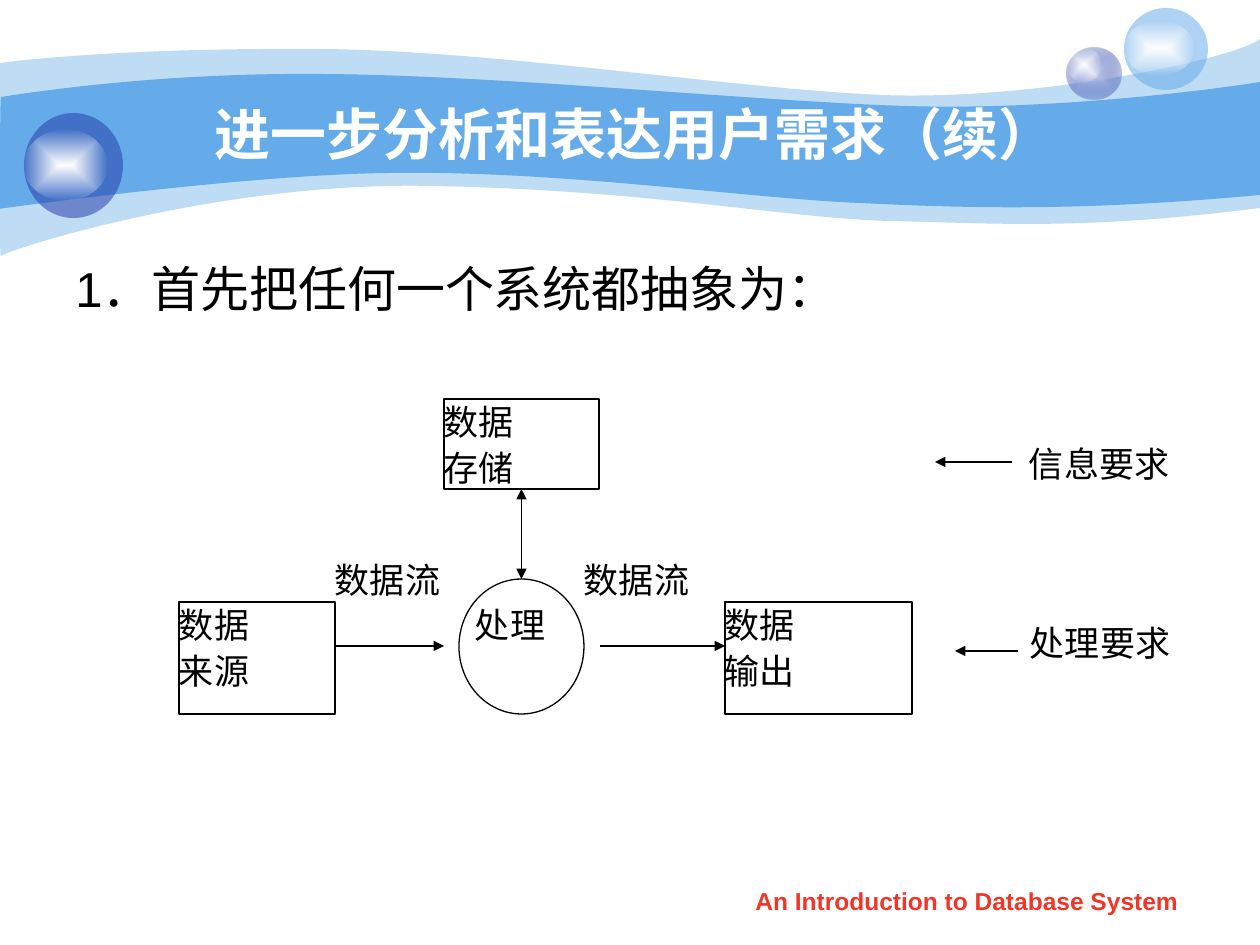
from lxml import etree
from pptx import Presentation
from pptx.dml.color import RGBColor
from pptx.enum.shapes import MSO_CONNECTOR as Connector, MSO_SHAPE as Shape
from pptx.enum.text import MSO_ANCHOR as Anchor, PP_ALIGN as Align
from pptx.oxml import parse_xml
from pptx.oxml.ns import nsdecls, qn
from pptx.util import Emu, Pt

EMU_PER_PX = 914400 / 126
BLACK, WHITE, SKY, NAVY, RED = "000000", "FFFFFF", "65AAE9", "233DA9", "F03628"

BACK_WAVE = [
    [(0, 63)],
    [(30, 59), (135, 48), (311, 49)],
    [(486, 49), (725, 88), (881, 95)],
    [(1036, 101), (1235, 59), (1260, 39)],
    [(1260, 208)],
    [(1079, 231), (992, 223), (888, 221)],
    [(784, 218), (649, 190), (432, 186)],
    [(217, 181), (5, 251), (1, 256)],
    [(-1, 262), (0, 95), (0, 63)],
]
FRONT_WAVE = [
    [(1, 97)],
    [(3, 97), (139, 73), (312, 74)],
    [(486, 74), (750, 101), (905, 106)],
    [(1060, 111), (1230, 87), (1260, 82)],
    [(1260, 195)],
    [(1075, 212), (964, 208), (859, 203)],
    [(755, 199), (563, 171), (399, 173)],
    [(256, 173), (-3, 209), (-1, 209)],
    [(0, 209), (0, 97), (1, 97)],
]


def px(value):
    return Emu(round(value * EMU_PER_PX))


def color(hex_code):
    return RGBColor.from_string(hex_code)


def place(box, left, top, width, height):
    return [px(v) for v in (box[0] + left, box[1] + top, width, height)]


def set_fill(shape, hex_code, alpha=100):
    shape.fill.solid()
    shape.fill.fore_color.rgb = color(hex_code)
    if alpha < 100:
        element = shape.fill._xPr.find(".//" + qn("a:srgbClr"))
        etree.SubElement(element, qn("a:alpha")).set("val", str(alpha * 1000))
    shape.line.fill.background()
    shape.shadow.inherit = False


def set_glow(shape, center, edge, edge_alpha):
    set_fill(shape, center)
    solid = shape.fill._xPr.find(qn("a:solidFill"))
    gradient = parse_xml(
        f'<a:gradFill rotWithShape="1" {nsdecls("a")}><a:gsLst>'
        f'<a:gs pos="0"><a:srgbClr val="{center}"/></a:gs>'
        f'<a:gs pos="100000"><a:srgbClr val="{edge}">'
        f'<a:alpha val="{edge_alpha * 1000}"/></a:srgbClr></a:gs></a:gsLst>'
        '<a:path path="rect"><a:fillToRect l="50000" t="50000" r="50000" b="50000"/>'
        "</a:path></a:gradFill>"
    )
    solid.getparent().replace(solid, gradient)


def add_wave(slide, box, segments, alpha):
    points = [(px(box[0] + x), px(box[1] + y)) for segment in segments for x, y in segment]
    builder = slide.shapes.build_freeform(*points[0])
    builder.add_line_segments(points[1:], close=True)
    wave = builder.convert_to_shape()
    lines = iter(wave._element.findall(".//" + qn("a:lnTo")))
    for segment in segments[1:]:
        steps = [next(lines) for _ in segment]
        if len(steps) == 3:
            curve = etree.Element(qn("a:cubicBezTo"))
            steps[0].addprevious(curve)
            for step in steps:
                curve.append(step[0])
                step.getparent().remove(step)
    set_fill(wave, SKY, alpha)


def add_ellipse(slide, box, *frame):
    return slide.shapes.add_shape(Shape.OVAL, *place(box, *frame))


def draw_header(slide, box):
    add_wave(slide, box, BACK_WAVE, 41)
    add_wave(slide, box, FRONT_WAVE, 100)
    set_glow(add_ellipse(slide, box, 1067, 48, 54, 51), "C7CEE9", NAVY, 31)
    set_glow(add_ellipse(slide, box, 1067, 48, 35, 34), WHITE, WHITE, 0)
    set_fill(add_ellipse(slide, box, 1124, 8, 84, 82), SKY, 53)
    set_glow(add_ellipse(slide, box, 1124, 21, 70, 54), WHITE, WHITE, 0)
    set_fill(add_ellipse(slide, box, 24, 113, 99, 105), NAVY, 53)
    set_glow(add_ellipse(slide, box, 24, 130, 83, 70), WHITE, WHITE, 0)


def format_paragraph(paragraph, size, hex_code, align, bold=False):
    paragraph.alignment = align
    paragraph.font.name = "Arial"
    paragraph.font.size = Pt(size)
    paragraph.font.bold = bold
    paragraph.font.color.rgb = color(hex_code)


def draw_title(slide, box):
    title = slide.shapes.title
    title.left, title.top, title.width, title.height = place(box, 0, 0, *box[2:])
    title.text_frame.text = "进一步分析和表达用户需求（续）"
    title.text_frame.vertical_anchor = Anchor.MIDDLE
    format_paragraph(title.text_frame.paragraphs[0], 32, WHITE, Align.CENTER, True)


def add_text_box(slide, box, text):
    text_box = slide.shapes.add_textbox(*place(box, 0, 0, *box[2:]))
    text_box.text_frame.word_wrap = True
    text_box.text_frame.text = text
    return text_box.text_frame.paragraphs[0]


def draw_body(slide, box):
    paragraph = add_text_box(slide, box, "1．首先把任何一个系统都抽象为：")
    format_paragraph(paragraph, 28, BLACK, Align.LEFT)
    paragraph.space_before = Pt(7)
    properties = paragraph._p.get_or_add_pPr()
    properties.set("marL", str(px(48)))
    properties.set("indent", str(px(-48)))


def draw_footer(slide, box):
    paragraph = add_text_box(slide, box, "An Introduction to Database System")
    format_paragraph(paragraph, 14, RED, Align.CENTER, True)


def set_diagram_text(shape, text):
    frame = shape.text_frame
    frame.word_wrap = True
    frame.vertical_anchor = Anchor.TOP
    frame.margin_left = frame.margin_right = 0
    frame.margin_top = frame.margin_bottom = px(6)
    frame.text = text
    for paragraph in frame.paragraphs:
        format_paragraph(paragraph, 20, BLACK, Align.JUSTIFY)
        paragraph.line_spacing = 0.9
        paragraph.space_before = Pt(5)


def set_outline(shape):
    shape.fill.background()
    shape.line.color.rgb = color(BLACK)
    shape.line.width = Pt(0.75)
    shape.shadow.inherit = False


def add_node(slide, box, text, *frame):
    node = slide.shapes.add_shape(Shape.RECTANGLE, *place(box, *frame))
    set_outline(node)
    set_diagram_text(node, text)
    return node


def add_label(slide, box, text, *frame):
    set_diagram_text(slide.shapes.add_textbox(*place(box, *frame)), text)


def add_arrow(slide, box, start, end, y, ends=("tailEnd",)):
    x1, y1, x2, y2 = place(box, start, y, box[0] + end, box[1] + y)
    arrow = slide.shapes.add_connector(Connector.STRAIGHT, x1, y1, x2, y2)
    arrow.line.color.rgb = color(BLACK)
    arrow.line.width = Pt(0.75)
    line = arrow.line._get_or_add_ln()
    for name in ends:
        etree.SubElement(line, qn("a:" + name)).set("type", "triangle")
    etree.SubElement(arrow._element.spPr, qn("a:effectLst"))
    return arrow


def draw_diagram(slide, box):
    add_label(slide, box, "数据流", 405, 158, 140, 89)
    add_label(slide, box, "数据流", 156, 158, 125, 89)
    process = add_ellipse(slide, box, 280, 180, 125, 135)
    set_outline(process)
    store = add_node(slide, box, "数据\n存储", 265, 0, 155, 90)
    add_label(slide, box, "信息要求", 850, 42, 156, 92)
    add_arrow(slide, box, 833, 756, 63)
    add_node(slide, box, "数据\n来源", 0, 203, 156, 112)
    add_arrow(slide, box, 156, 265, 247)
    add_label(slide, box, "处理", 296, 203, 93, 67)
    add_arrow(slide, box, 421, 546, 247)
    add_node(slide, box, "数据\n输出", 546, 203, 187, 112)
    add_arrow(slide, box, 839, 776, 252)
    add_label(slide, box, "处理要求", 851, 221, 156, 72)
    exchange = add_arrow(slide, box, 342, 342, 90, ("headEnd", "tailEnd"))
    exchange.begin_connect(store, 2)
    exchange.end_connect(process, 0)


def main():
    presentation = Presentation()
    presentation.slide_width, presentation.slide_height = px(1260), px(945)
    slide = presentation.slides.add_slide(presentation.slide_layouts[5])
    draw_header(slide, (0, 0, 1260, 262))
    draw_footer(slide, (719, 880, 496, 44))
    title = slide.shapes.title._element
    title.getparent().append(title)
    draw_title(slide, (126, 94, 1018, 78))
    draw_body(slide, (63, 252, 1134, 620))
    draw_diagram(slide, (179, 399, 1008, 315))
    presentation.save("out.pptx")


if __name__ == "__main__":
    main()
